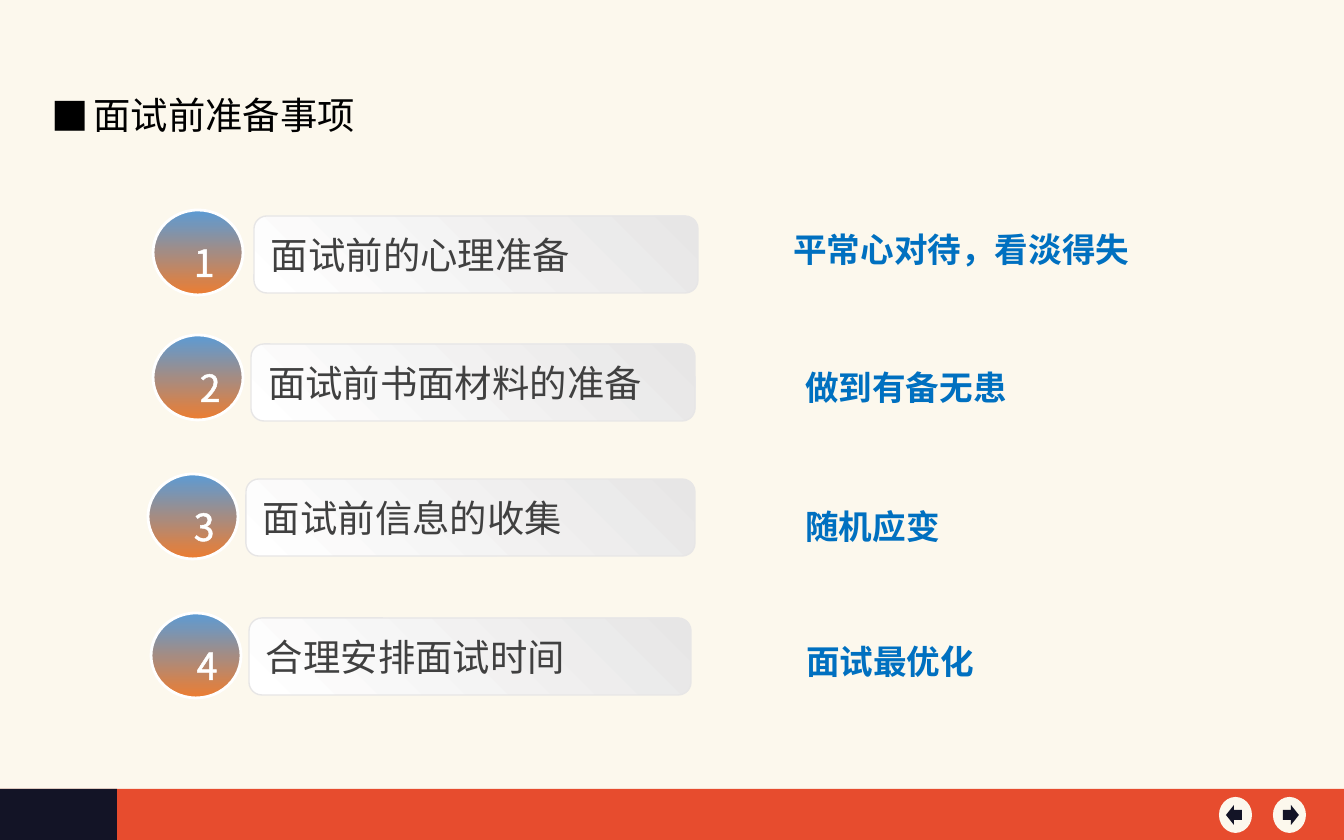
from lxml import etree
from pptx import Presentation
from pptx.dml.color import RGBColor
from pptx.enum.shapes import MSO_SHAPE as Shape
from pptx.enum.text import MSO_ANCHOR as Anchor, MSO_AUTO_SIZE as AutoSize, PP_ALIGN as Align
from pptx.oxml.ns import qn
from pptx.util import Pt

WIDTH, HEIGHT = 1344, 840
CREAM, RED, NAVY = "FCF8ED", "E74C2E", "131426"
WHITE, GREY, DARK, BLUE = "FFFFFF", "E7E6E6", "404040", "0070C0"


def px(length):
    return round(length * 9144000 / WIDTH)


def color(hex_code):
    return RGBColor.from_string(hex_code)


class SlideBuilder:
    font_name = "Noto Sans CJK SC"

    def __init__(self, slide):
        self.slide = slide
        slide.background.fill.solid()
        slide.background.fill.fore_color.rgb = color(CREAM)

    def label(self, shape, text, size, ink, bold=False, align=Align.LEFT):
        paragraph = shape.text_frame.paragraphs[0]
        paragraph.text = text
        paragraph.alignment = align
        run = paragraph.runs[0]
        run.font.name = self.font_name
        run.font.size = Pt(size)
        run.font.bold = bold
        run.font.color.rgb = color(ink)
        properties = run.font._element
        etree.SubElement(properties, qn("a:ea"), typeface=self.font_name)
        return paragraph

    def shape(self, kind, x, y, w, h, fill, line=None, line_width=0.75, angle=0):
        """Draw a shape; a pair of fill colours makes a gradient."""
        shape = self.slide.shapes.add_shape(kind, px(x), px(y), px(w), px(h))
        shape.shadow.inherit = False
        if isinstance(fill, tuple):
            shape.fill.gradient()
            shape.fill.gradient_angle = angle
            for position, (stop, shade) in enumerate(zip(shape.fill.gradient_stops, fill)):
                stop.color.rgb = color(shade)
                stop.position = position
        else:
            shape.fill.solid()
            shape.fill.fore_color.rgb = color(fill)
        if line:
            shape.line.color.rgb = color(line)
            shape.line.width = Pt(line_width)
        else:
            shape.line.fill.background()
        return shape

    def heading(self, text, x, y, w, h):
        title = self.slide.shapes.title
        title.left, title.top, title.width, title.height = px(x), px(y), px(w), px(h)
        frame = title.text_frame
        frame.word_wrap = True
        frame.auto_size = AutoSize.SHAPE_TO_FIT_TEXT
        frame.vertical_anchor = Anchor.TOP
        paragraph = self.label(title, text, 20, "000000")
        paragraph.line_spacing = 1.5
        layout = paragraph._p.get_or_add_pPr()
        layout.set("marL", str(px(42)))
        layout.set("indent", str(-px(42)))
        etree.SubElement(layout, qn("a:buFont"), typeface=self.font_name)
        etree.SubElement(layout, qn("a:buChar"), char="■")

    def bar(self, text, x, y, w):
        bar = self.shape(Shape.ROUNDED_RECTANGLE, x, y, w, 77, (WHITE, GREY), GREY, angle=45)
        bar.text_frame.word_wrap = False
        bar.text_frame.vertical_anchor = Anchor.MIDDLE
        self.label(bar, text, 20, DARK)

    def badge(self, number, x, y, digit_x):
        self.shape(Shape.OVAL, x, y, 90, 85, ("5B9BD5", "ED7D31"), WHITE, 1.5, angle=270)
        digit = self.slide.shapes.add_textbox(px(digit_x), px(y + 23), px(26), px(34))
        digit.text_frame.word_wrap = False
        paragraph = self.label(digit, str(number), 20, WHITE, align=Align.CENTER)
        # White outline around the digit
        outline = etree.Element(qn("a:ln"), w=str(Pt(0.75)))
        fill = etree.SubElement(outline, qn("a:solidFill"))
        etree.SubElement(fill, qn("a:srgbClr"), val=WHITE)
        paragraph.runs[0].font._element.insert(0, outline)

    def note(self, text, x, y, w):
        note = self.slide.shapes.add_textbox(px(x), px(y), px(w), px(42))
        note.text_frame.word_wrap = True
        note.text_frame.auto_size = AutoSize.SHAPE_TO_FIT_TEXT
        self.label(note, text, 18, BLUE, bold=True)

    def button(self, arrow, x, arrow_x):
        self.shape(Shape.OVAL, x, 797, 33, 36, CREAM)
        self.shape(arrow, arrow_x, 805, 16, 20, NAVY)


def main():
    deck = Presentation()
    deck.slide_width, deck.slide_height = px(WIDTH), px(HEIGHT)
    page = SlideBuilder(deck.slides.add_slide(deck.slide_layouts[5]))

    # Footer band with navigation buttons
    page.shape(Shape.RECTANGLE, 0, 789, WIDTH, 51, RED)
    page.shape(Shape.RECTANGLE, 0, 789, 117, 51, NAVY)
    page.button(Shape.RIGHT_ARROW, 1273, 1283)
    page.button(Shape.LEFT_ARROW, 1219, 1226)

    page.heading("面试前准备事项", 38, 63, 396, 74)

    # Preparation steps: bar, badge (with digit x) and advice
    steps = [
        (("面试前的心理准备", 254, 216, 444), (153, 210, 181), ("平常心对待，看淡得失", 780, 222, 375)),
        (("面试前书面材料的准备", 251, 344, 444), (153, 335, 187), ("做到有备无患", 792, 360, 265)),
        (("面试前信息的收集", 246, 479, 449), (148, 474, 181), ("随机应变", 792, 499, 224)),
        (("合理安排面试时间", 249, 618, 442), (151, 613, 184), ("面试最优化", 793, 634, 245)),
    ]
    for number, (topic, badge, advice) in enumerate(steps, start=1):
        page.bar(*topic)
        page.badge(number, *badge)
        page.note(*advice)

    deck.save("out.pptx")


if __name__ == "__main__":
    main()
